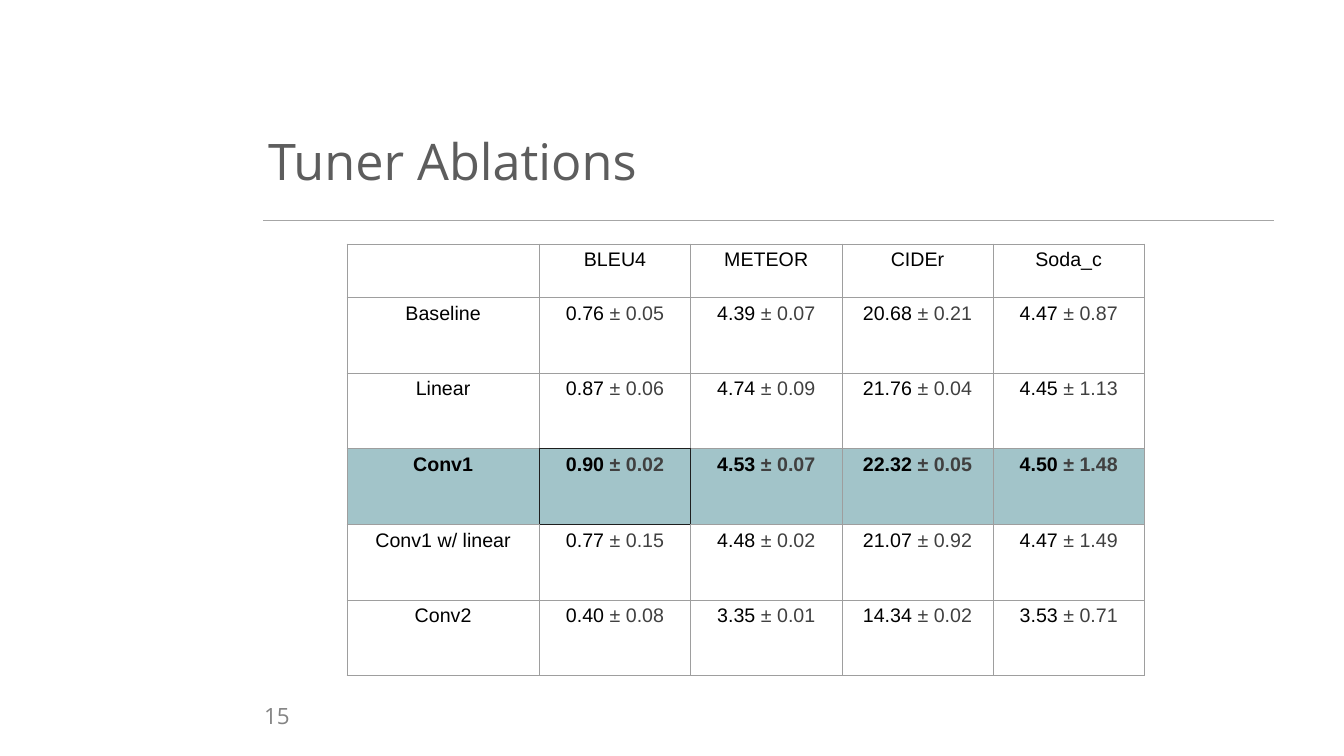
from lxml.etree import SubElement
from pptx import Presentation
from pptx.dml.color import RGBColor
from pptx.enum.shapes import MSO_CONNECTOR
from pptx.enum.text import MSO_ANCHOR, PP_ALIGN
from pptx.oxml.ns import qn
from pptx.util import Inches, Pt

METRICS = ["BLEU4", "METEOR", "CIDEr", "Soda_c"]
RESULTS = [
    ("Baseline", "0.76 ± 0.05", "4.39 ± 0.07", "20.68 ± 0.21", "4.47 ± 0.87"),
    ("Linear", "0.87 ± 0.06", "4.74 ± 0.09", "21.76 ± 0.04", "4.45 ± 1.13"),
    ("Conv1", "0.90 ± 0.02", "4.53 ± 0.07", "22.32 ± 0.05", "4.50 ± 1.48"),
    ("Conv1 w/ linear", "0.77 ± 0.15", "4.48 ± 0.02", "21.07 ± 0.92", "4.47 ± 1.49"),
    ("Conv2", "0.40 ± 0.08", "3.35 ± 0.01", "14.34 ± 0.02", "3.53 ± 0.71"),
]
BEST_ROW = 3
FRAMED_CELL = (BEST_ROW, 1)
SIDES = {"a:lnL": (0, -1), "a:lnR": (0, 1), "a:lnT": (-1, 0), "a:lnB": (1, 0)}


def color(value):
    return RGBColor.from_string(value)


def write(paragraph, text, font="Arial", size=14, ink="000000", bold=False):
    run = paragraph.add_run()
    run.text = text
    run.font.name = font
    run.font.size = Pt(size)
    run.font.bold = bold
    run.font.color.rgb = color(ink)


class SlideBuilder:
    heading_font = "Open Sans"
    inset = Inches(0.05)
    grid = "9E9E9E"
    frame = "1E1E1E"
    highlight = "A2C4C9"
    deviation = "404040"

    def __init__(self, slide):
        self.slide = slide

    def set_insets(self, target):
        target.margin_left = target.margin_right = self.inset
        target.margin_top = target.margin_bottom = self.inset

    def label(self, text, left, top, width, height, size, ink, wrap=True, spacing=1.0):
        box = self.slide.shapes.add_textbox(
            Inches(left), Inches(top), Inches(width), Inches(height))
        frame = box.text_frame
        frame.word_wrap = wrap
        frame.vertical_anchor = MSO_ANCHOR.MIDDLE
        self.set_insets(frame)
        paragraph = frame.paragraphs[0]
        paragraph.line_spacing = spacing
        write(paragraph, text, font=self.heading_font, size=size, ink=ink)

    def rule(self, left, right, top, ink):
        line = self.slide.shapes.add_connector(
            MSO_CONNECTOR.STRAIGHT, Inches(left), Inches(top), Inches(right), Inches(top))
        line.line.color.rgb = color(ink)
        line.line.width = Pt(1)
        SubElement(line._element.spPr, qn("a:effectLst"))

    def borders(self, cell, position):
        properties = cell._tc.get_or_add_tcPr()
        for side, step in SIDES.items():
            neighbour = (position[0] + step[0], position[1] + step[1])
            ink = self.frame if FRAMED_CELL in (position, neighbour) else self.grid
            border = SubElement(properties, qn(side), w=str(Pt(0.33)))
            fill = SubElement(border, qn("a:solidFill"))
            SubElement(fill, qn("a:srgbClr"), val=ink)

    def cell(self, cell, text, position):
        best = position[0] == BEST_ROW
        self.set_insets(cell)
        self.borders(cell, position)
        if best:
            cell.fill.solid()
            cell.fill.fore_color.rgb = color(self.highlight)
        else:
            cell.fill.background()
        paragraph = cell.text_frame.paragraphs[0]
        paragraph.alignment = PP_ALIGN.CENTER
        mean, sign, spread = text.partition("±")
        if mean:
            write(paragraph, mean, bold=best)
        if sign:
            write(paragraph, sign + spread, ink=self.deviation, bold=best)

    def table(self, rows, left, top, widths, heights):
        table = self.slide.shapes.add_table(
            len(rows), len(widths), Inches(left), Inches(top),
            Inches(sum(widths)), Inches(sum(heights))).table
        table.first_row = table.horz_banding = False
        for column, width in zip(table.columns, widths):
            column.width = Inches(width)
        for row, height in zip(table.rows, heights):
            row.height = Inches(height)
        for r, texts in enumerate(rows):
            for c, text in enumerate(texts):
                self.cell(table.cell(r, c), text, (r, c))


def main():
    deck = Presentation()
    deck.slide_width, deck.slide_height = Inches(13.33), Inches(7.5)
    builder = SlideBuilder(deck.slides.add_slide(deck.slide_layouts[6]))
    builder.rule(2.61, 12.64, 2.19, "A6A6A6")
    builder.label("Tuner Ablations", 2.61, 1.27, 6.43, 0.71, 36, "5D5D5D", spacing=0.9)
    builder.label("15", 2.57, 6.91, 0.38, 0.37, 16, "838383", wrap=False)
    builder.table([["", *METRICS], *RESULTS], 3.44, 2.42,
                  [1.91] + [1.5] * len(METRICS), [0.53] + [0.75] * len(RESULTS))
    deck.save("out.pptx")


if __name__ == "__main__":
    main()
